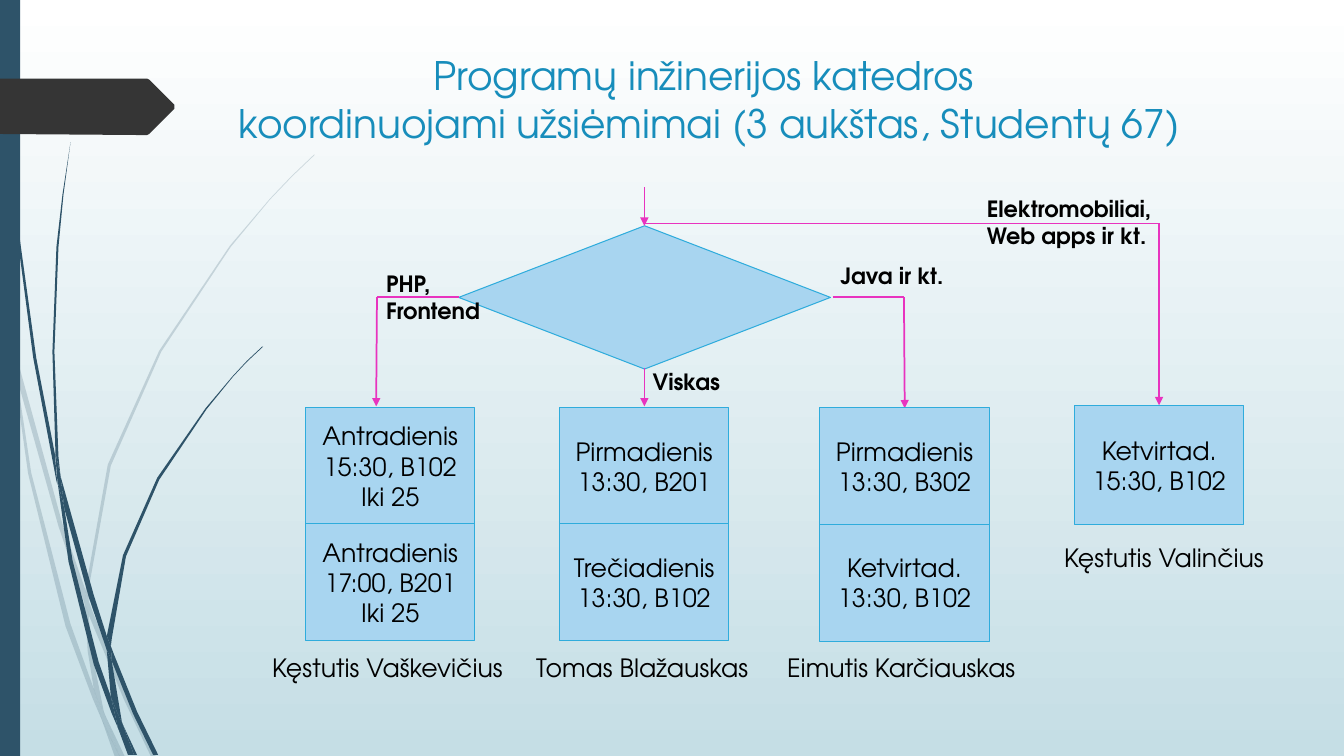
from lxml.etree import SubElement
from pptx import Presentation
from pptx.dml.color import RGBColor
from pptx.enum.shapes import MSO_CONNECTOR, MSO_SHAPE
from pptx.enum.text import MSO_ANCHOR, PP_ALIGN
from pptx.oxml.ns import qn
from pptx.util import Cm, Pt

FONT = "TeX Gyre Adventor"
NAVY, DARK, SKY, EDGE = "2E5369", "353535", "A8D5F0", "2FACDC"
PINK, BLUE, BLACK = "E833BF", "178DBB", "000000"
BOX_W, BOX_H, STEP = 4.27, 2.95, 2.93
MID = 16.24
UNIT = Cm(0.0254)

# Outlines of the grass and the tag, in steps of UNIT
FAINT = [
    [(11, 350), (9, 322), (0, 282), (0, 299), (10, 344)],
    [(58, 522), (84, 599), (85, 586), (62, 520), (14, 345), (17, 376)],
    [(92, 607), (88, 596), (88, 610), (123, 694), (150, 751), (155, 751),
     (127, 692)],
    [(119, 751), (124, 751), (105, 711)],
    [(93, 683), (70, 619), (31, 469), (17, 376), (11, 350), (28, 470),
     (65, 621), (92, 693), (101, 714), (99, 707)],
    [(84, 599), (87, 646), (93, 683), (96, 692), (105, 711), (103, 706),
     (91, 646), (88, 610), (88, 608)],
    [(88, 584), (110, 462), (160, 349), (229, 245), (268, 198), (290, 175),
     (312, 154), (312, 153), (289, 175), (268, 197), (228, 244), (158, 348),
     (107, 461), (85, 584), (85, 586), (88, 596)],
    [(101, 714), (114, 751), (119, 751)],
    [(88, 608), (88, 610), (88, 596), (85, 586), (84, 599)],
    [(96, 692), (93, 683), (99, 707), (101, 714), (119, 751), (105, 711)],
]
SOLID = [
    [(7, 110), (17, 233), (33, 355), (56, 477), (57, 481), (55, 457),
     (55, 453), (36, 355), (19, 232), (8, 109), (5, 48), (4, 0), (3, 0),
     (4, 48)],
    [(88, 592), (106, 645), (106, 633), (106, 631), (93, 590), (60, 472),
     (64, 505)],
    [(113, 649), (110, 641), (111, 656), (132, 708), (152, 749), (157, 749),
     (136, 706)],
    [(110, 691), (98, 657), (72, 556), (64, 505), (57, 477), (68, 557),
     (93, 659), (111, 708), (117, 722), (116, 717)],
    [(60, 472), (58, 453), (54, 349), (58, 245), (63, 193), (70, 141),
     (62, 193), (56, 245), (52, 349), (55, 449)],
    [(133, 749), (136, 749), (122, 719)],
    [(57, 477), (64, 505), (60, 472), (55, 449), (55, 453)],
    [(111, 633), (125, 552), (158, 476), (205, 406), (231, 374), (245, 359),
     (261, 344), (260, 344), (245, 358), (231, 373), (204, 405), (156, 474),
     (122, 551), (106, 631), (110, 641)],
    [(117, 722), (127, 749), (131, 749)],
    [(106, 645), (110, 691), (116, 706), (122, 719), (121, 716), (111, 656),
     (109, 651)],
    [(106, 645), (109, 651), (111, 656), (110, 641), (106, 631), (106, 633)],
    [(116, 706), (110, 691), (116, 717), (117, 722), (130, 749), (133, 749),
     (122, 719)],
]
TAG = [(173, 108), (148, 133), (146, 134), (136, 134), (0, 133), (0, 78),
       (146, 78), (148, 79), (173, 104)]
ROUTES = [
    [(MID, 4.72), (MID, 5.69)],
    [(11.56, 7.49), (9.5, 7.49), (9.48, 10.24)],
    [(20.98, 7.49), (22.78, 7.49), (22.8, 10.29)],
    [(MID, 9.27), (MID, 10.24)],
    [(MID, 5.63), (29.21, 5.63), (29.21, 10.21)],
]
# Left and top of the first box, its height, and the lines of each box
COLUMNS = [
    (7.7, 10.27, BOX_H, [["Antradienis", "15:30, B102", "Iki 25"],
                         ["Antradienis", "17:00, B201", "Iki 25"]]),
    (14.1, 10.27, BOX_H, [["Pirmadienis", "13:30, B201"],
                          ["Trečiadienis", "13:30, B102"]]),
    (20.66, 10.28, BOX_H, [["Pirmadienis", "13:30, B302"],
                           ["Ketvirtad.", "13:30, B102"]]),
    (27.08, 10.22, 3, [["Ketvirtad.", "15:30, B102"]]),
]
NAMES = [
    ("Kęstutis Vaškevičius", 6.61, 16.32, 6.48, 1.02, False),
    ("Tomas Blažauskas", 13.26, 16.32, 5.97, 1.02, False),
    ("Eimutis Karčiauskas", 19.59, 16.32, 6.38, 1.02, False),
    ("Kęstutis Valinčius", 26.57, 13.54, 5.77, 1.8, True),
]
TOPICS = [
    (["PHP,", "Frontend"], 9.48, 6.69, 2.92, 1.63, False),
    (["Java ir kt."], 20.93, 6.48, 3.43, 0.94, True),
    (["Elektromobiliai, Web apps ir kt."], 24.62, 4.8, 4.85, 2.31, True),
    (["Viskas"], 16.2, 9.14, 4.45, 0.94, True),
]


def color(code):
    return RGBColor.from_string(code)


def paint(shape, fill, edge=None):
    shape.shadow.inherit = False
    shape.fill.solid()
    shape.fill.fore_color.rgb = color(fill)
    if edge:
        shape.line.color.rgb = color(edge)
        shape.line.width = Pt(0.75)
    else:
        shape.line.fill.background()


def add_block(slide, kind, left, top, width, height, fill, edge=None):
    shape = slide.shapes.add_shape(kind, Cm(left), Cm(top), Cm(width), Cm(height))
    paint(shape, fill, edge)
    return shape


def add_run(para, text, size, code=BLACK, bold=False):
    run = para.add_run()
    run.text = text
    run.font.name = FONT
    run.font.size = Pt(size)
    run.font.bold = bold
    run.font.color.rgb = color(code)


def write(frame, lines, size, bold=False, align=PP_ALIGN.LEFT):
    for i, line in enumerate(lines):
        para = frame.add_paragraph() if i else frame.paragraphs[0]
        para.alignment = align
        add_run(para, line, size, bold=bold)


def add_frame(slide, left, top, width, height, wrap=True):
    box = slide.shapes.add_textbox(Cm(left), Cm(top), Cm(width), Cm(height))
    box.text_frame.word_wrap = wrap
    return box.text_frame


def add_title(slide):
    para = add_frame(slide, 5.49, 1.18, 24.77, 3.56).paragraphs[0]
    para.alignment = PP_ALIGN.CENTER
    add_run(para, "Programų inžinerijos katedros ", 28, BLUE)
    para.add_line_break()
    add_run(para, "koordinuojami užsiėmimai (3 aukštas, Studentų 67)", 28, BLUE)


def add_outline(slide, points, fill, alpha=None):
    pen = slide.shapes.build_freeform(*points[0], scale=UNIT)
    pen.add_line_segments(points[1:], close=True)
    shape = pen.convert_to_shape()
    paint(shape, fill)
    if alpha:
        tone = shape.fill._xPr.find(qn("a:solidFill"))[0]
        SubElement(tone, qn("a:alpha")).set("val", str(alpha * 1000))


def add_route(slide, points):
    """Chain of straight lines with an arrowhead at its end."""
    for start, end in zip(points, points[1:]):
        line = slide.shapes.add_connector(
            MSO_CONNECTOR.STRAIGHT, *map(Cm, start), *map(Cm, end))
        line.line.color.rgb = color(PINK)
        line.line.width = Pt(1.25)
        props = line._element.spPr
        SubElement(props, qn("a:effectLst"))
        if end == points[-1]:
            SubElement(props.find(qn("a:ln")), qn("a:tailEnd")).set("type", "triangle")


def add_backdrop(slide):
    fill = slide.background.fill
    fill.gradient()
    fill.gradient_angle = 270
    for stop, code in zip(fill.gradient_stops, ("FFFFFF", "C5DEE5")):
        stop.color.rgb = color(code)
    for points in FAINT:
        add_outline(slide, points, NAVY, 20)
    for points in SOLID:
        add_outline(slide, points, NAVY)
    add_block(slide, MSO_SHAPE.RECTANGLE, 0, 0, 0.51, 19.05, NAVY)
    add_outline(slide, TAG, DARK)


def add_slot(slide, lines, left, top, height):
    box = add_block(slide, MSO_SHAPE.RECTANGLE, left, top, BOX_W, height, SKY, EDGE)
    box.text_frame.vertical_anchor = MSO_ANCHOR.MIDDLE
    write(box.text_frame, lines, 18, align=PP_ALIGN.CENTER)


def main():
    deck = Presentation()
    deck.slide_width, deck.slide_height = Cm(33.87), Cm(19.05)
    slide = deck.slides.add_slide(deck.slide_layouts[6])
    add_backdrop(slide)
    add_title(slide)
    add_block(slide, MSO_SHAPE.DIAMOND, 11.56, 5.69, 9.37, 3.61, SKY, EDGE)
    for points in ROUTES:
        add_route(slide, points)
    for left, top, height, slots in COLUMNS:
        for row, lines in enumerate(slots):
            add_slot(slide, lines, left, top + row * STEP, height)
    for lines, *place in TOPICS:
        write(add_frame(slide, *place), lines, 16, bold=True)
    for name, *place in NAMES:
        write(add_frame(slide, *place), [name], 18)
    deck.save("out.pptx")


if __name__ == "__main__":
    main()
